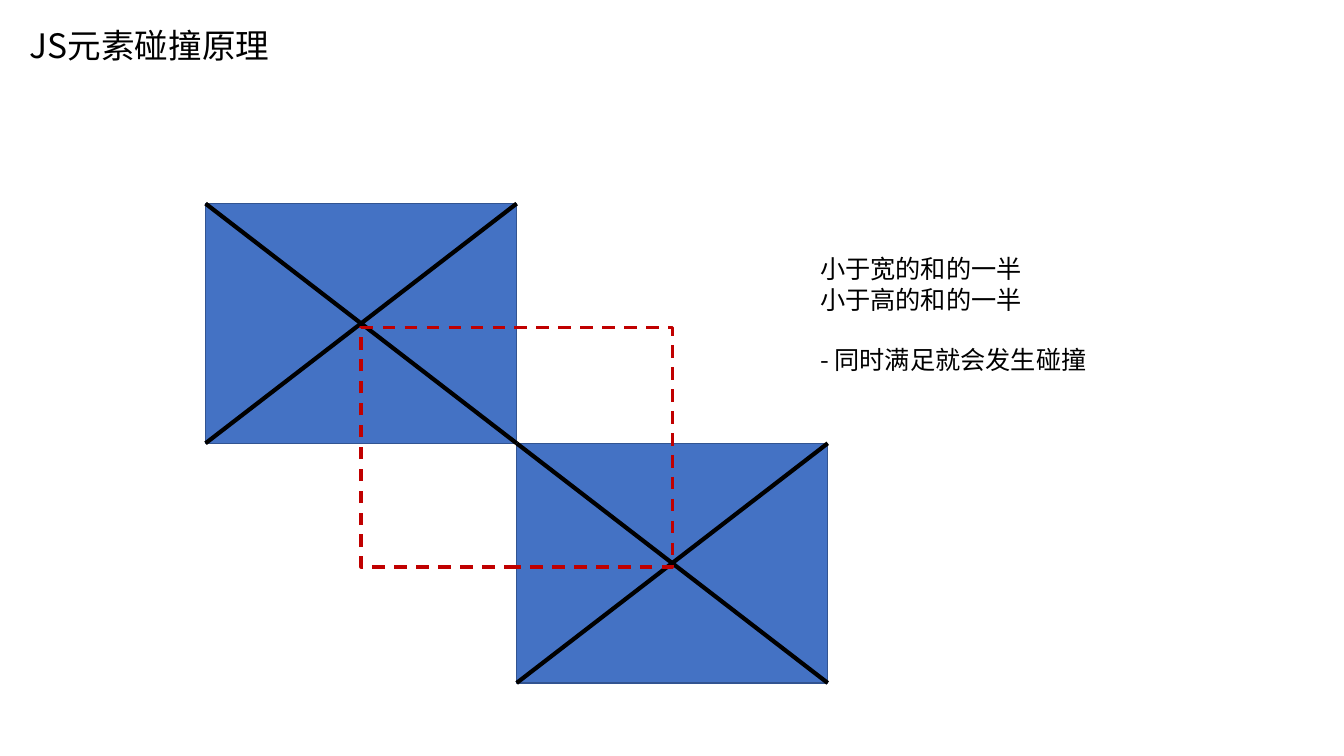
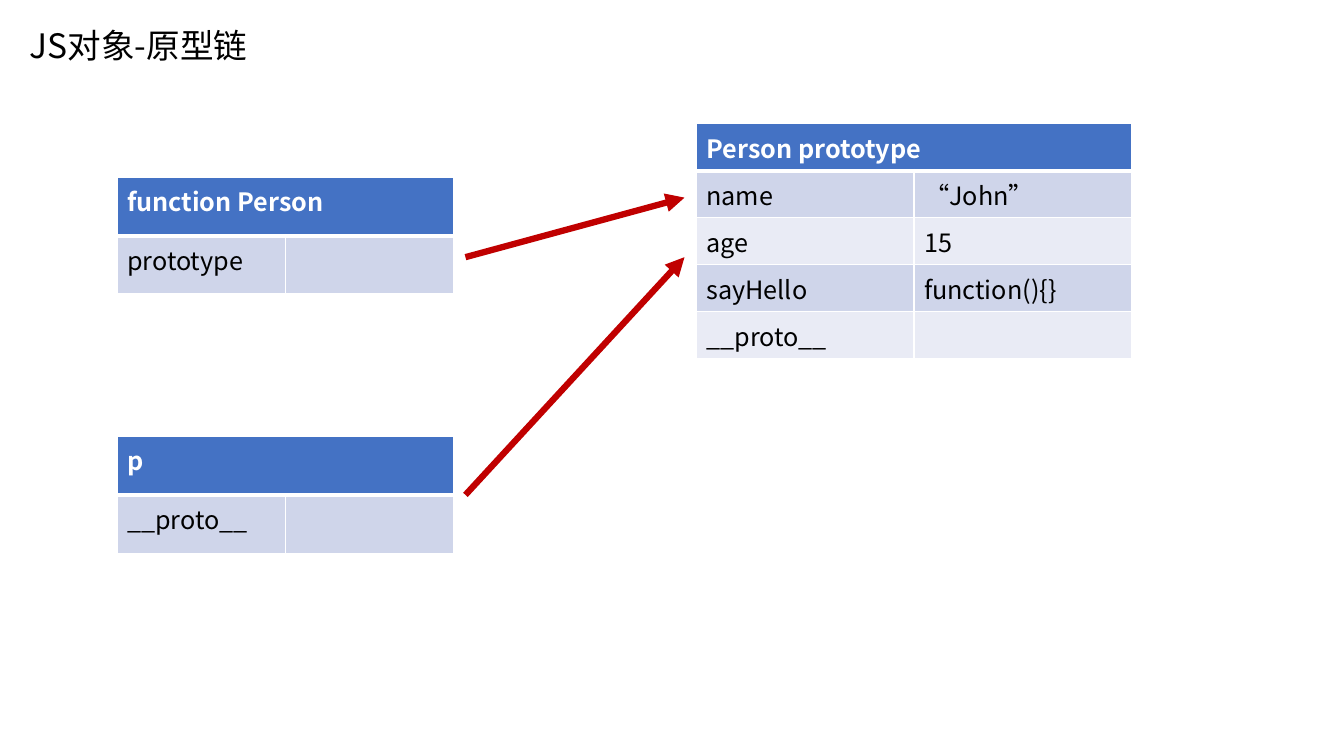
from lxml import etree
from pptx import Presentation
from pptx.dml.color import RGBColor
from pptx.enum import dml, shapes, text
from pptx.oxml import ns
from pptx.util import Cm, Pt

FONT = "Noto Sans CJK SC"
BLUE, EDGE, RED = "4472C4", "325491", "C00000"
BLACK, WHITE = "000000", "FFFFFF"
BANDS = ("CFD5EA", "E9EBF5")


def tint(hue):
    """Turn a hex string into a colour."""
    return RGBColor.from_string(hue)


def paint(part, hue):
    """Give a shape or cell a solid fill."""
    part.fill.solid()
    part.fill.fore_color.rgb = tint(hue)


def style(para, size=18, hue=BLACK, bold=False):
    """Set the font of a paragraph, East Asian face included."""
    font = para.font
    font.name, font.size, font.bold = FONT, Pt(size), bold
    font.color.rgb = tint(hue)
    for latin in para._p.iter(ns.qn("a:latin")):
        face = etree.Element(ns.qn("a:ea"), typeface=FONT)
        latin.addnext(face)


def label(slide, box, lines, size=18):
    """Write lines of text in a box and return its frame."""
    frame = slide.shapes.add_textbox(*map(Cm, box)).text_frame
    frame.word_wrap = True
    frame.text = "\n".join(lines)
    for para in frame.paragraphs:
        style(para, size)
    return frame


def page(deck, name):
    """Add a blank slide with a title."""
    slide = deck.slides.add_slide(deck.slide_layouts[6])
    frame = label(slide, (0.5, 0.5, 10.92, 1.4), [name], 24)
    frame.vertical_anchor = text.MSO_ANCHOR.MIDDLE
    frame.paragraphs[0].line_spacing = 0.9
    return slide


def line(owner, start, end, hue, width, arrow=False):
    """Draw a straight line, with an arrowhead if asked."""
    link = owner.shapes.add_connector(
        shapes.MSO_CONNECTOR.STRAIGHT, *map(Cm, start + end))
    link.line.color.rgb = tint(hue)
    link.line.width = Pt(width)
    if arrow:
        stroke = link.line._get_or_add_ln()
        etree.SubElement(stroke, ns.qn("a:tailEnd"), type="triangle")
    etree.SubElement(link.element.spPr, ns.qn("a:effectLst"))


def block(owner, box, hue, width):
    """Draw an outlined rectangle."""
    rect = owner.shapes.add_shape(shapes.MSO_SHAPE.RECTANGLE, *map(Cm, box))
    rect.shadow.inherit = False
    rect.line.color.rgb = tint(hue)
    rect.line.width = Pt(width)
    return rect


def crossed(slide, box):
    """Draw a grouped blue block with both diagonals."""
    x, y, w, h = box
    group = slide.shapes.add_group_shape()
    paint(block(group, box, EDGE, 1), BLUE)
    line(group, (x, y), (x + w, y + h), BLACK, 3)
    line(group, (x, y + h), (x + w, y), BLACK, 3)


def border(cell, row):
    """Draw white cell borders, thick below the header."""
    props = cell._tc.get_or_add_tcPr()
    thick = {(0, "B"), (1, "T")}
    for spot, side in enumerate("LRTB"):
        width = Pt(3 if (row, side) in thick else 1)
        edge = etree.Element(ns.qn("a:ln" + side), w=str(width))
        fill = etree.SubElement(edge, ns.qn("a:solidFill"))
        etree.SubElement(fill, ns.qn("a:srgbClr"), val=WHITE)
        props.insert(spot, edge)


def record(slide, box, head, pairs):
    """Draw a two-column table under a merged header."""
    rows = [(head, "")] + pairs
    grid = slide.shapes.add_table(len(rows), 2, *map(Cm, box)).table
    grid.cell(0, 0).merge(grid.cell(0, 1))
    for r, row in enumerate(rows):
        for c, words in enumerate(row):
            cell = grid.cell(r, c)
            cell.text = words
            paint(cell, BANDS[(r - 1) % 2] if r else BLUE)
            style(cell.text_frame.paragraphs[0],
                  hue=BLACK if r else WHITE, bold=r == 0)
            border(cell, r)


def collision(deck):
    """Build the slide on colliding elements."""
    slide = page(deck, "JS元素碰撞原理")
    x, y, w, h = 5.18, 5.13, 7.84, 6.04
    for step in range(2):
        crossed(slide, (x + step * w, y + step * h, w, h))
    reach = block(slide, (x + w / 2, y + h / 2 + 0.1, w, h), RED, 2.25)
    reach.fill.background()
    reach.line.dash_style = dml.MSO_LINE.DASH
    rules = label(slide, (20.42, 6.27, 9.1, 3.33), [
        "小于宽的和的一半", "小于高的和的一半", "- 同时满足就会发生碰撞"])
    rules.paragraphs[-1].space_before = Pt(21.6)


def chain(deck):
    """Build the slide on the prototype chain."""
    slide = page(deck, "JS对象-原型链")
    x, w, h = 2.95, 8.48, 2.94
    proto = 17.55
    record(slide, (x, 4.47, w, h), "function Person", [("prototype", "")])
    record(slide, (proto, 3.12, 10.97, 5.92), "Person prototype", [
        ("name", "“John”"), ("age", "15"),
        ("sayHello", "function(){}"), ("__proto__", "")])
    record(slide, (x, 11, w, h), "p", [("__proto__", "")])
    for start, end in ((6.48, 4.98), (12.47, 6.48)):
        line(slide, (x + w + 0.3, start), (proto - 0.3, end), RED, 4.5, True)


def main():
    """Build and save the deck."""
    deck = Presentation()
    deck.slide_width, deck.slide_height = Cm(33.87), Cm(19.05)
    collision(deck)
    chain(deck)
    deck.save("out.pptx")


main()
